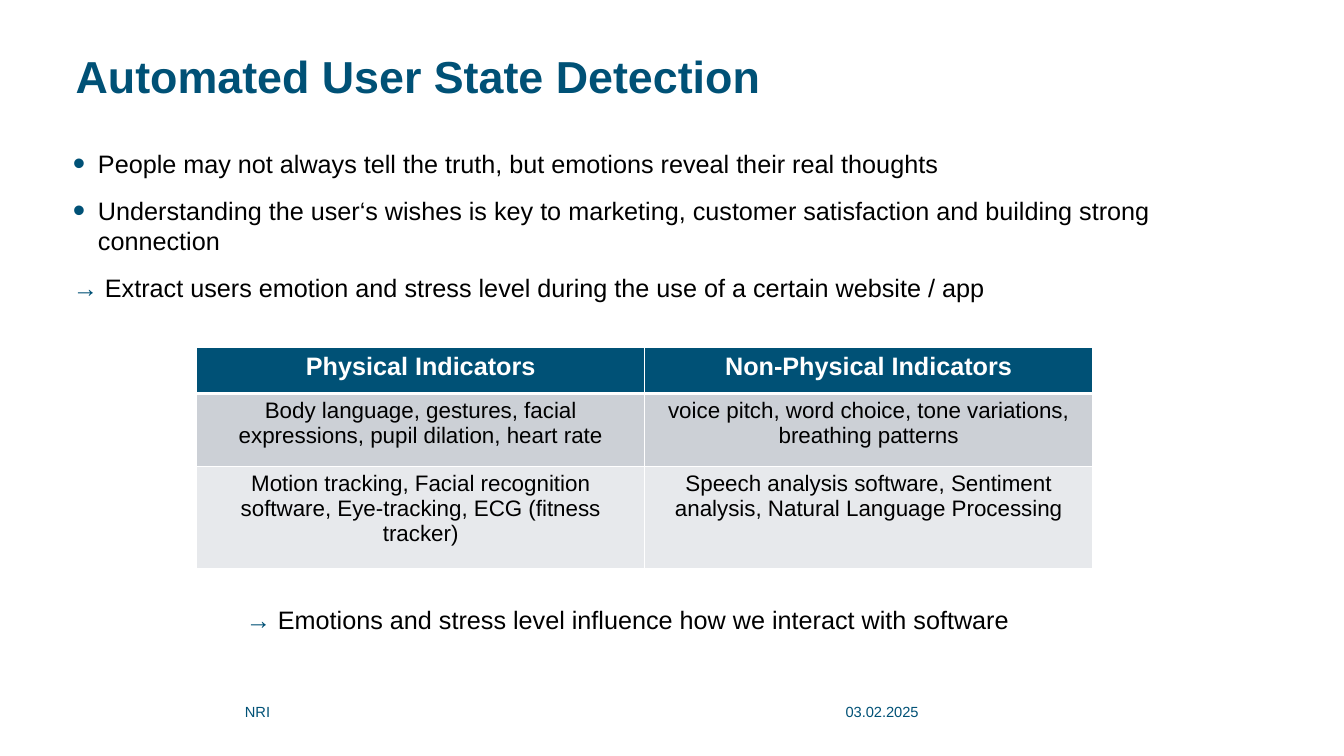
from lxml.etree import SubElement
from pptx import Presentation
from pptx.dml.color import RGBColor
from pptx.enum.text import MSO_ANCHOR as Anchor, PP_ALIGN as Align
from pptx.oxml.ns import qn
from pptx.util import Pt

TITLE = "Automated User State Detection"
ARROW = "→ "
BULLETS = [
    "People may not always tell the truth, but emotions reveal their real thoughts",
    "Understanding the user‘s wishes is key to marketing, customer satisfaction "
    "and building strong connection",
]
GOAL = "Extract users emotion and stress level during the use of a certain website / app"
INDICATORS = [
    ("Physical Indicators", "Non-Physical Indicators"),
    ("Body language, gestures, facial expressions, pupil dilation, heart rate",
     "voice pitch, word choice, tone variations, breathing patterns"),
    ("Motion tracking, Facial recognition software, Eye-tracking, ECG (fitness tracker)",
     "Speech analysis software, Sentiment analysis, Natural Language Processing"),
]
CONCLUSION = "Emotions and stress level influence how we interact with software"
# text, left, width
FOOTERS = [("NRI", 175, 407), ("03.02.2025", 604, 96.5)]

COLORS = {"brand": "005176", "text": "000000", "white": "FFFFFF"}
ROW_FILLS = [COLORS["brand"], "CCD0D6", "E7E9EC"]
ROW_HEIGHTS = [33, 52, 73.5]
FONT = "Arial"
TEXT_SIZE = 18


def add_run(paragraph, text, color="text", size=TEXT_SIZE, bold=False):
    run = paragraph.add_run()
    run.text = text
    run.font.name = FONT
    run.font.size = Pt(size)
    run.font.bold = bold
    run.font.color.rgb = RGBColor.from_string(COLORS[color])


def add_arrow_line(paragraph, text):
    add_run(paragraph, ARROW, "brand")
    add_run(paragraph, text)


def clear_margins(frame):
    frame.margin_left = frame.margin_top = frame.margin_right = frame.margin_bottom = 0


def add_frame(left, top, width, height):
    frame = slide.shapes.add_textbox(Pt(left), Pt(top), Pt(width), Pt(height)).text_frame
    frame.word_wrap = True
    return frame


def set_indent(paragraph, left, first):
    properties = paragraph._p.get_or_add_pPr()
    properties.set("marL", str(Pt(left)))
    properties.set("indent", str(Pt(first)))
    return properties


def add_bullet(paragraph):
    properties = set_indent(paragraph, 36, -18)
    color = SubElement(properties, qn("a:buClr"))
    SubElement(color, qn("a:srgbClr"), val=COLORS["brand"])
    SubElement(properties, qn("a:buSzPct"), val="140000")
    SubElement(properties, qn("a:buFont"), typeface=FONT)
    SubElement(properties, qn("a:buChar"), char="•")


def add_borders(cell, top, bottom):
    properties = cell._tc.get_or_add_tcPr()
    for side, width in (("L", 1), ("R", 1), ("T", top), ("B", bottom)):
        line = SubElement(properties, qn(f"a:ln{side}"), w=str(Pt(width)))
        fill = SubElement(line, qn("a:solidFill"))
        SubElement(fill, qn("a:srgbClr"), val=COLORS["white"])


prs = Presentation()
prs.slide_width, prs.slide_height = Pt(960), Pt(540)
slide = prs.slides.add_slide(prs.slide_layouts[5])

title = slide.shapes.title
title.left, title.top, title.width, title.height = Pt(54), Pt(39), Pt(862.5), Pt(96)
title_frame = title.text_frame
clear_margins(title_frame)
title_frame.word_wrap = True
title_frame.vertical_anchor = Anchor.TOP
heading = title_frame.paragraphs[0]
heading.alignment = Align.LEFT
heading.line_spacing = 0.9
add_run(heading, TITLE, "brand", 32, True)

body = add_frame(34, 106, 862.5, 371)
clear_margins(body)
for index, point in enumerate(BULLETS):
    paragraph = body.add_paragraph() if index else body.paragraphs[0]
    paragraph.space_after = Pt(12)
    add_bullet(paragraph)
    add_run(paragraph, point)
goal = body.add_paragraph()
goal.space_after = Pt(12)
set_indent(goal, 18, 0)
add_arrow_line(goal, GOAL)

table = slide.shapes.add_table(
    len(INDICATORS), 2, Pt(140.5), Pt(248), Pt(640), Pt(sum(ROW_HEIGHTS))).table
for r, row in enumerate(INDICATORS):
    table.rows[r].height = Pt(ROW_HEIGHTS[r])
    header = r == 0
    for c, text in enumerate(row):
        cell = table.cell(r, c)
        add_borders(cell, top=3 if r == 1 else 1, bottom=3 if header else 1)
        cell.fill.solid()
        cell.fill.fore_color.rgb = RGBColor.from_string(ROW_FILLS[r])
        paragraph = cell.text_frame.paragraphs[0]
        paragraph.alignment = Align.CENTER
        add_run(paragraph, text, "white" if header else "text",
                TEXT_SIZE if header else 16, header)

conclusion = add_frame(168.5, 428, 590, 29)
add_arrow_line(conclusion.paragraphs[0], CONCLUSION)

for text, left, width in FOOTERS:
    footer = add_frame(left, 498.5, width, 19.5)
    clear_margins(footer)
    footer.vertical_anchor = Anchor.MIDDLE
    add_run(footer.paragraphs[0], text, "brand", 10.5)

prs.save("out.pptx")
